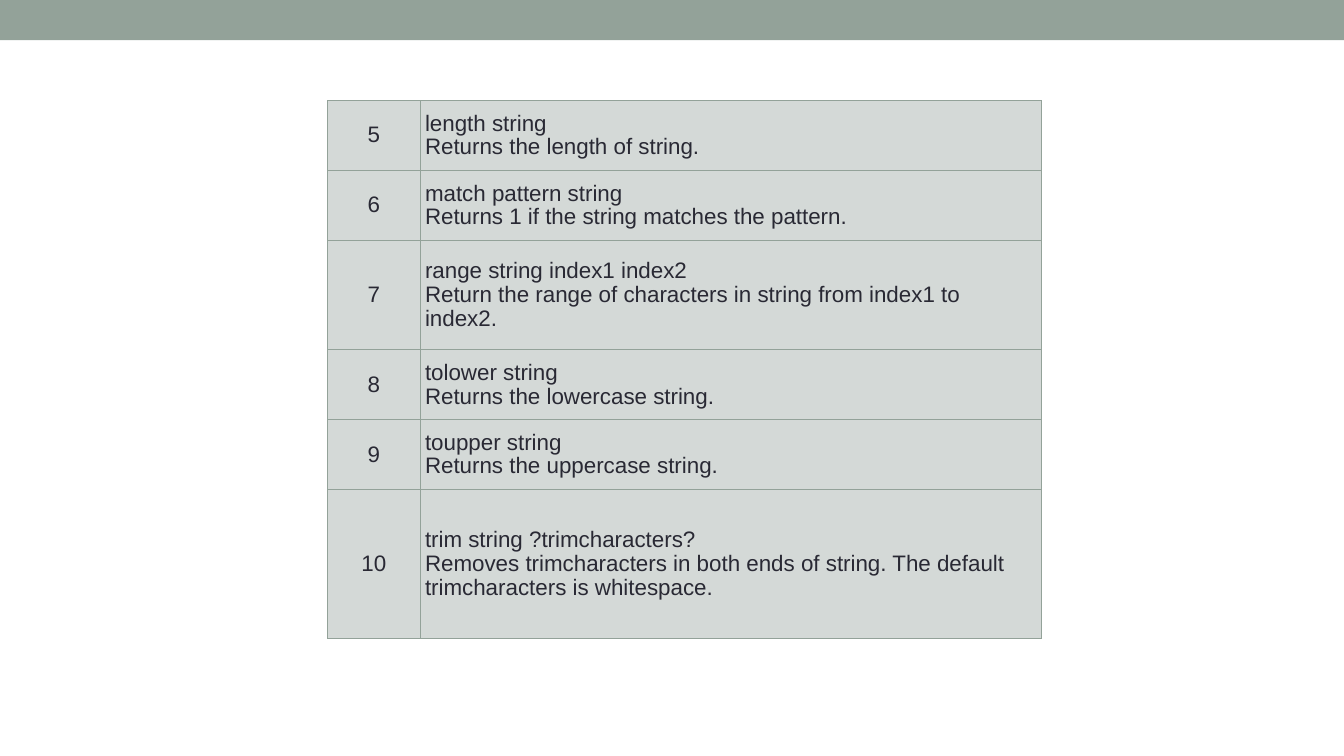
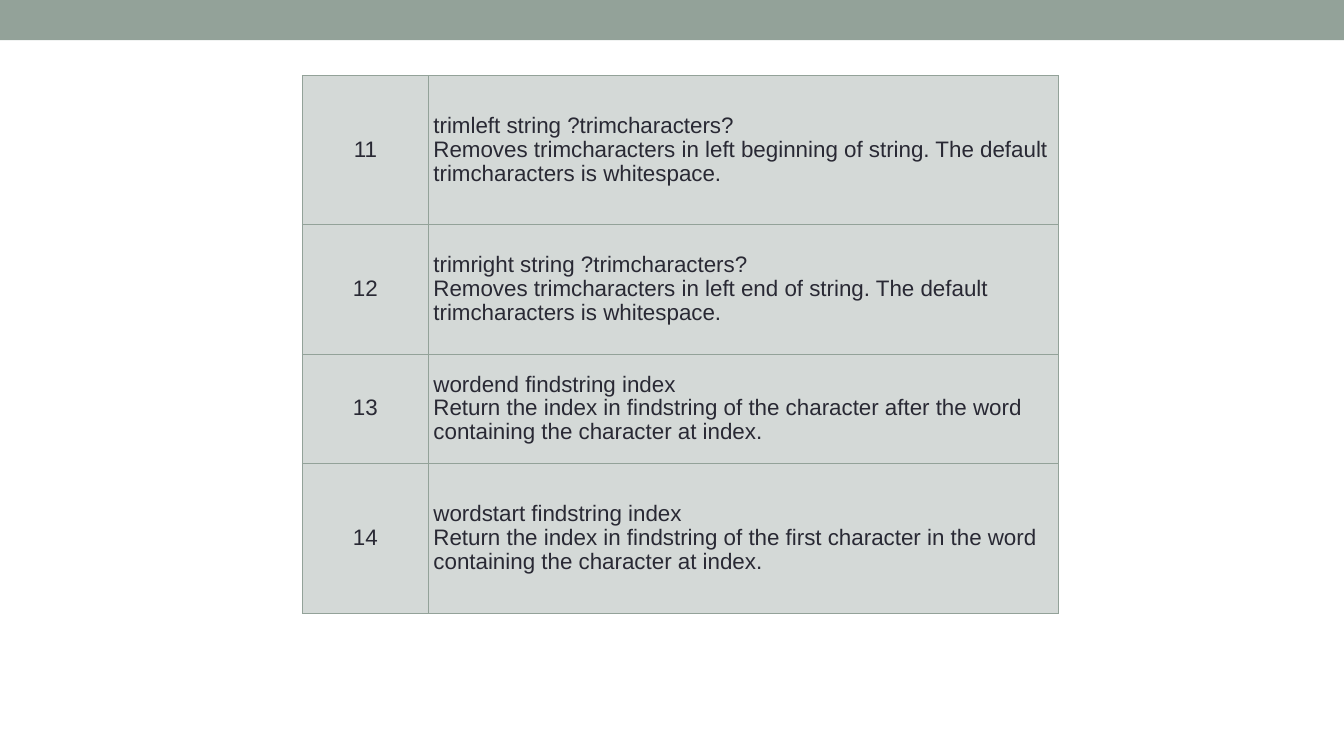
import pptx
import pptx.util
import pptx.dml.color
import pptx.enum.shapes
import pptx.enum.text
import pptx.oxml
import pptx.oxml.ns

Pt = pptx.util.Pt


class Deck:
    COLORS = {"band": "93A299", "cell": "D4D9D7", "text": "292934"}
    FONT = "Arial"
    SIZE = 16
    WIDTH, HEIGHT = 960, 540
    BAND_HEIGHT = 28.8
    INSET = 3.6
    BORDER = 0.75
    LINE_SPACING = 0.96

    def __init__(self):
        self.prs = pptx.Presentation()
        self.prs.slide_width = Pt(self.WIDTH)
        self.prs.slide_height = Pt(self.HEIGHT)
        self.s = None

    def color(self, name):
        return pptx.dml.color.RGBColor.from_string(self.COLORS[name])

    def slide(self):
        self.s = self.prs.slides.add_slide(self.prs.slide_layouts[6])
        self.band()

    def band(self):
        sp = self.s.shapes.add_shape(
            pptx.enum.shapes.MSO_SHAPE.RECTANGLE,
            0, 0, Pt(self.WIDTH), Pt(self.BAND_HEIGHT))
        sp.shadow.inherit = False
        sp.fill.solid()
        sp.fill.fore_color.rgb = self.color("band")
        sp.line.fill.background()

    def borders(self, cell):
        tc_pr = cell._tc.get_or_add_tcPr()
        for i, side in enumerate(("lnL", "lnR", "lnT", "lnB")):
            tc_pr.insert(i, pptx.oxml.parse_xml(
                f'<a:{side} {pptx.oxml.ns.nsdecls("a")} w="{Pt(self.BORDER)}">'
                f'<a:solidFill><a:srgbClr val="{self.COLORS["band"]}"/></a:solidFill>'
                f'</a:{side}>'))

    def cell(self, cell, text, align):
        cell.fill.solid()
        cell.fill.fore_color.rgb = self.color("cell")
        cell.margin_left = cell.margin_right = Pt(self.INSET)
        cell.margin_top = cell.margin_bottom = Pt(self.INSET)
        cell.vertical_anchor = pptx.enum.text.MSO_ANCHOR.MIDDLE
        self.borders(cell)
        cell.text_frame.text = text
        for p in cell.text_frame.paragraphs:
            p.alignment = align
            p.line_spacing = self.LINE_SPACING
            for r in p.runs:
                r.font.name = self.FONT
                r.font.size = Pt(self.SIZE)
                r.font.color.rgb = self.color("text")

    def command_table(self, left, top, widths, first, rows):
        heights = [height for height, _, _ in rows]
        frame = self.s.shapes.add_table(
            len(rows), len(widths), Pt(left), Pt(top),
            Pt(sum(widths)), Pt(sum(heights)))
        table = frame.table
        table.first_row = table.horz_banding = False
        for column, width in zip(table.columns, widths):
            column.width = Pt(width)
        align = pptx.enum.text.PP_ALIGN
        for i, (height, usage, description) in enumerate(rows):
            table.rows[i].height = Pt(height)
            self.cell(table.cell(i, 0), str(first + i), align.CENTER)
            self.cell(table.cell(i, 1), f"{usage}\n{description}", align.LEFT)

    def save(self):
        self.prs.save("out.pptx")


def main():
    deck = Deck()

    deck.slide()
    deck.command_table(234, 72, (66, 444), 5, [
        (50, "length string", "Returns the length of string."),
        (50, "match pattern string", "Returns 1 if the string matches the pattern."),
        (78, "range string index1 index2",
         "Return the range of characters in string from index1 to index2."),
        (50, "tolower string", "Returns the lowercase string."),
        (50, "toupper string", "Returns the uppercase string."),
        (106, "trim string ?trimcharacters?",
         "Removes trimcharacters in both ends of string. "
         "The default trimcharacters is whitespace."),
    ])

    deck.slide()
    deck.command_table(216, 54, (90, 450), 11, [
        (106.5, "trimleft string ?trimcharacters?",
         "Removes trimcharacters in left beginning of string. "
         "The default trimcharacters is whitespace."),
        (92.5, "trimright string ?trimcharacters?",
         "Removes trimcharacters in left end of string. "
         "The default trimcharacters is whitespace."),
        (78, "wordend findstring index",
         "Return the index in findstring of the character after the word "
         "containing the character at index."),
        (107, "wordstart findstring index",
         "Return the index in findstring of the first character in the word "
         "containing the character at index."),
    ])

    deck.save()


if __name__ == "__main__":
    main()
